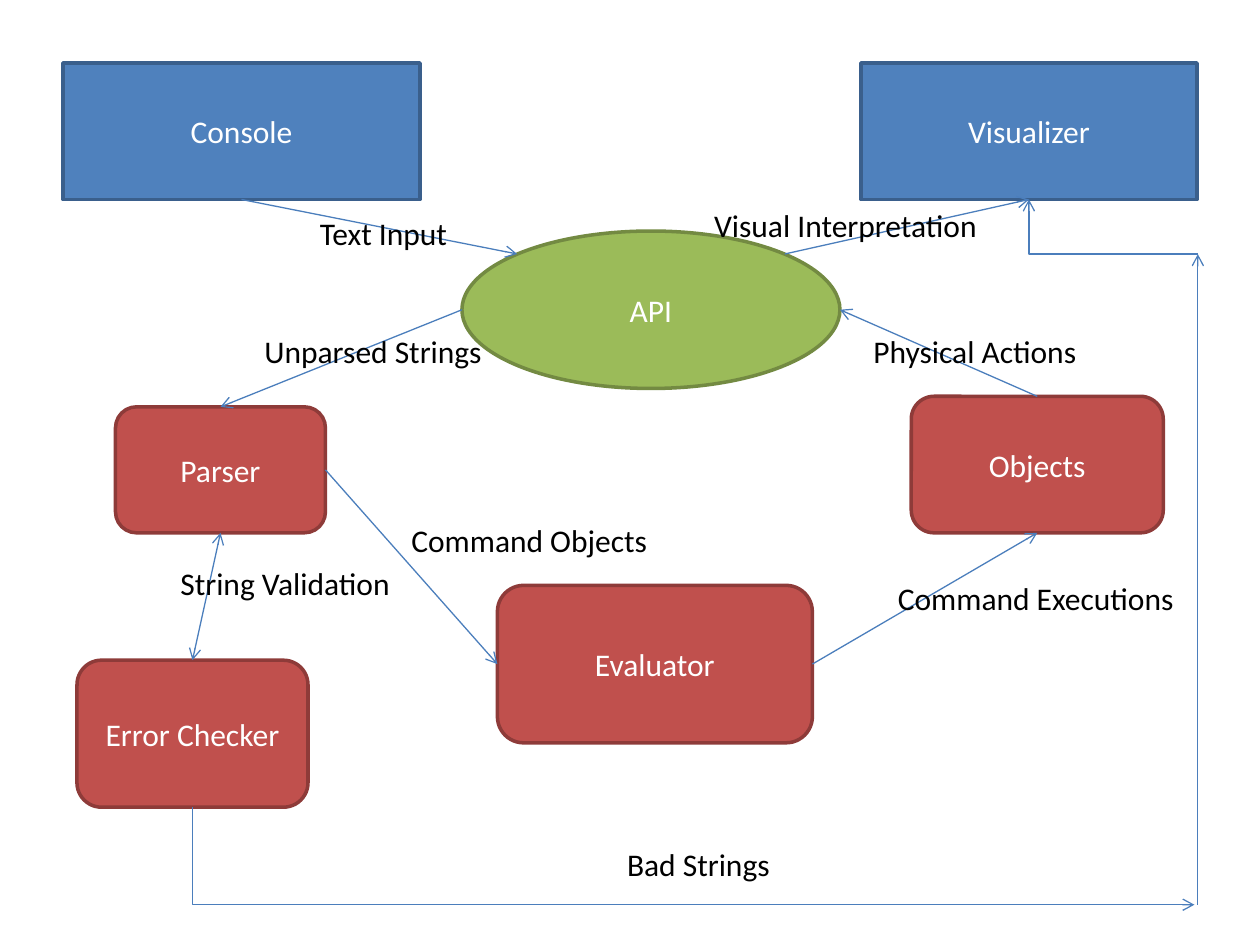
from lxml import etree
from pptx import Presentation
from pptx.dml.color import RGBColor
from pptx.enum.shapes import MSO_CONNECTOR as Connector, MSO_SHAPE as Shape
from pptx.enum.text import MSO_ANCHOR as Anchor, MSO_AUTO_SIZE as AutoSize, PP_ALIGN as Align
from pptx.oxml.ns import qn
from pptx.util import Pt

# Site index, then the position as fractions of the width and height
SITES = {
    "top": (0, 0.5, 0),
    "left": (1, 0, 0.5),
    "bottom": (2, 0.5, 1),
    "right": (3, 1, 0.5),
    "upper left": (None, 0.146, 0.146),
    "upper right": (None, 0.854, 0.146),
}


def color(value):
    """Turn a hex string into a colour."""
    return RGBColor.from_string(value)


def write(shape, text, *, font="Calibri", size=18, fill="000000",
          align=Align.LEFT, anchor=Anchor.TOP):
    """Put one formatted paragraph into a shape."""
    shape.text_frame.vertical_anchor = anchor
    paragraph = shape.text_frame.paragraphs[0]
    paragraph.alignment = align
    run = paragraph.add_run()
    run.text = text
    run.font.name, run.font.size = font, Pt(size)
    run.font.color.rgb = color(fill)


def site_point(shape, side):
    """Return the point of a connection site, in points."""
    _, across, down = SITES[side]
    return (shape.left.pt + shape.width.pt * across,
            shape.top.pt + shape.height.pt * down)


class Diagram:
    """Holds the style and the current slide."""

    BLUE, GREEN, RED = ("4F81BD", "3A5F8C"), ("9BBB59", "738A42"), ("C0504D", "8E3B39")
    ARROW = "4B7EBC"

    def __init__(self, slide):
        """Start drawing on a slide."""
        self.slide = slide

    def node(self, kind, text, palette, left, top, width, height):
        """Add a filled shape with a centred name."""
        shape = self.slide.shapes.add_shape(
            kind, Pt(left), Pt(top), Pt(width), Pt(height))
        shape.shadow.inherit = False
        shape.fill.solid()
        shape.fill.fore_color.rgb = color(palette[0])
        shape.line.color.rgb = color(palette[1])
        shape.line.width = Pt(2)
        shape.text_frame.word_wrap = True
        write(shape, text, fill="FFFFFF", align=Align.CENTER, anchor=Anchor.MIDDLE)
        return shape

    def label(self, text, left, top, width):
        """Add a one-line label that does not wrap."""
        box = self.slide.shapes.add_textbox(Pt(left), Pt(top), Pt(width), Pt(29))
        box.text_frame.word_wrap = False
        box.text_frame.auto_size = AutoSize.SHAPE_TO_FIT_TEXT
        write(box, text)

    def arrow(self, begin, end, kind=Connector.STRAIGHT, both=False):
        """Add an arrow between two points."""
        connector = self.slide.shapes.add_connector(kind, *map(Pt, begin + end))
        connector.line.color.rgb = color(self.ARROW)
        connector.line.width = Pt(0.75)
        line = connector.line._get_or_add_ln()
        for tag in ("a:headEnd", "a:tailEnd") if both else ("a:tailEnd",):
            etree.SubElement(line, qn(tag), type="arrow")
        etree.SubElement(connector._element.spPr, qn("a:effectLst"))
        return connector

    def link(self, source, source_side, target, target_side, both=False):
        """Join two shapes, gluing the ends that lie on standard sites."""
        connector = self.arrow(site_point(source, source_side),
                               site_point(target, target_side), both=both)
        if source.auto_shape_type != Shape.OVAL:
            connector.begin_connect(source, SITES[source_side][0])
        if target.auto_shape_type != Shape.OVAL:
            connector.end_connect(target, SITES[target_side][0])

    def elbow(self, begin, end, down_first=False):
        """Add an arrow with one corner; down_first goes down, then right."""
        if down_first:
            middle_x, middle_y = (begin[0] + end[0]) / 2, (begin[1] + end[1]) / 2
            half_x, half_y = (end[0] - begin[0]) / 2, (end[1] - begin[1]) / 2
            begin = (middle_x + half_y, middle_y - half_x)
            end = (middle_x - half_y, middle_y + half_x)
        connector = self.arrow(begin, end, Connector.ELBOW)
        properties = connector._element.spPr
        properties.find(qn("a:prstGeom")).set("prst", "bentConnector2")
        if down_first:
            properties.find(qn("a:xfrm")).set("rot", str(270 * 60000))


presentation = Presentation()
presentation.slide_width, presentation.slide_height = Pt(720), Pt(540)
diagram = Diagram(presentation.slides.add_slide(presentation.slide_layouts[6]))

console = diagram.node(Shape.RECTANGLE, "Console", diagram.BLUE, 36, 36, 204, 78)
visualizer = diagram.node(Shape.RECTANGLE, "Visualizer", diagram.BLUE, 492, 36, 192, 78)
api = diagram.node(Shape.OVAL, "API", diagram.GREEN, 264, 132, 216, 90)
parser, checker, evaluator, objects = [
    diagram.node(Shape.ROUNDED_RECTANGLE, text, diagram.RED, *box)
    for text, *box in (
        ("Parser", 66, 232.5, 120, 72),
        ("Error Checker", 44, 377.25, 132, 84),
        ("Evaluator", 284.25, 334.5, 180, 90),
        ("Objects", 520.75, 226.5, 144, 78),
    )
]

for ends in (
    (console, "bottom", api, "upper left"),
    (api, "left", parser, "top"),
    (parser, "right", evaluator, "left"),
    (evaluator, "right", objects, "bottom"),
    (parser, "bottom", checker, "top", True),
    (objects, "top", api, "right"),
    (api, "upper right", visualizer, "bottom"),
):
    diagram.link(*ends)

rail_x, rail_top, rail_bottom = 684.5, 145.25, 517
diagram.elbow(site_point(checker, "bottom"), (682.5, rail_bottom), down_first=True)
diagram.elbow((rail_x, rail_top), site_point(visualizer, "bottom"))

for label in (
    ("Unparsed Strings", 144, 186, 140.5),
    ("String Validation", 96, 318.75, 135.5),
    ("Bad Strings", 351.25, 479.5, 97),
    ("Command Objects", 228, 294, 150.5),
    ("Command Executions", 506, 327.5, 174),
    ("Physical Actions", 492, 186, 132),
    ("Visual Interpretation", 401, 114, 166.5),
    ("Text Input", 175.75, 118.5, 88),
):
    diagram.label(*label)

diagram.arrow((rail_x, rail_bottom), (rail_x, rail_top))

presentation.save("out.pptx")
